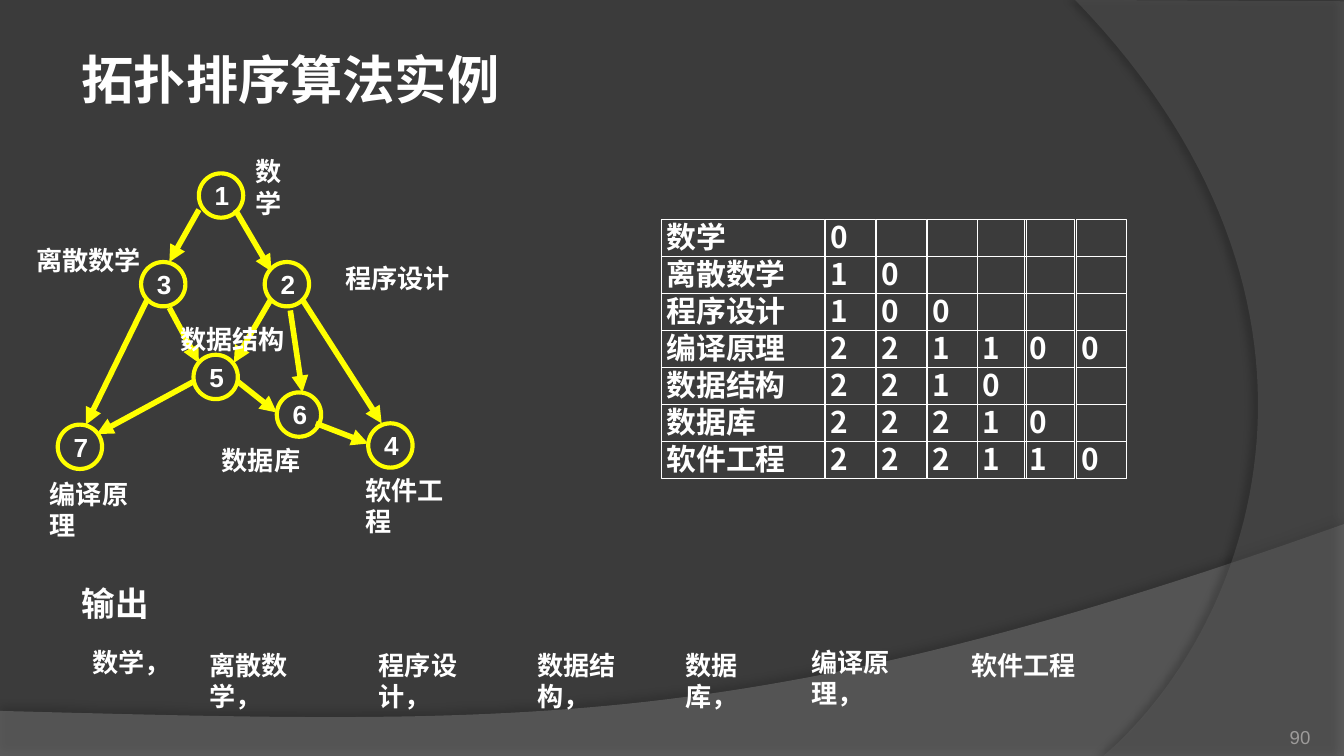
from lxml.etree import SubElement
from pptx import Presentation
from pptx.dml.color import RGBColor
from pptx.enum.shapes import MSO_CONNECTOR as CONNECTOR, MSO_SHAPE as SHAPE
from pptx.enum.text import MSO_ANCHOR as ANCHOR, PP_ALIGN as ALIGN
from pptx.oxml.ns import qn
from pptx.util import Inches, Pt

WHITE, YELLOW = "FFFFFF", "FFFF00"
LATIN, CHINESE = "Arial", "Noto Sans CJK SC"
WIDTH = 10
HEIGHT = WIDTH * 9 / 16

NODES = {"1": (1.28, 0.13), "2": (1.77, 0.79), "3": (0.85, 0.79), "4": (2.54, 1.99),
         "5": (1.24, 1.48), "6": (1.86, 1.76), "7": (0.23, 2)}
EDGES = [(1.28, 0.4, 1.06, 0.79), (0.9, 1.06, 0.44, 2), (1.55, 0.4, 1.82, 0.86),
         (1.06, 1.13, 1.28, 1.54), (1.96, 1.15, 2.05, 1.76), (1.82, 1.06, 1.54, 1.54),
         (1.24, 1.68, 0.52, 2.07), (1.57, 1.68, 1.86, 1.91), (2.15, 1.99, 2.54, 2.14),
         (2.05, 1.07, 2.64, 1.99)]
LABELS = [("数学", 1.63, 0, 0.49), ("程序设计", 2.3, 0.79, 1.08), ("离散数学", 0, 0.66, 1.14),
          ("数据结构", 1.07, 1.25, 0.97), ("数据库", 1.38, 2.15, 0.98),
          ("编译原理", 0.1, 2.4, 0.73), ("软件工程", 2.45, 2.37, 0.73)]
COURSES = ["数学", "离散数学", "程序设计", "编译原理", "数据结构", "数据库", "软件工程"]
STEPS = [(1.22, "0112222"), (1.6, " 002222"), (1.98, "  01122"),
         (2.35, "   1011"), (2.7, "   0 01"), (3.09, "   0  0")]
OUTPUT = [("数学，", 0.08, 0.47, 0.79), ("离散数学，", 0.95, 0.49, 1.04),
          ("程序设计，", 2.21, 0.49, 1.04), ("数据结构，", 3.39, 0.49, 1.04),
          ("数据库，", 4.49, 0.49, 0.87), ("编译原理，", 5.43, 0.47, 1.04),
          ("软件工程", 6.62, 0.49, 1.02)]


def color(value):
    """Turn a hex string into a colour."""
    return RGBColor.from_string(value)


def write(shape, text, size, font=CHINESE, insets=(0.1, 0.05, 0.1, 0.05),
          align=ALIGN.LEFT, anchor=ANCHOR.TOP, ink=WHITE, bold=True):
    """Put one formatted paragraph in a shape."""
    frame = shape.text_frame
    frame.text = text
    frame.word_wrap = True
    frame.vertical_anchor = anchor
    (frame.margin_left, frame.margin_top,
     frame.margin_right, frame.margin_bottom) = map(Inches, insets)
    para = frame.paragraphs[0]
    para.alignment = align
    para._p.get_or_add_pPr().set("hangingPunct", "0")
    for span in para.runs:
        span.font.name, span.font.size, span.font.bold = font, Pt(size), bold
        span.font.color.rgb = color(ink)
        SubElement(span.font._element, qn("a:ea"), typeface=CHINESE)


def add_text(page, box, text, size, **style):
    """Add a text box."""
    write(page.shapes.add_textbox(*map(Inches, box)), text, size, **style)


def add_outline(page, kind, box, ink, width):
    """Add an unfilled preset shape."""
    shape = page.shapes.add_shape(kind, *map(Inches, box))
    shape.shadow.inherit = False
    shape.fill.background()
    shape.line.color.rgb = color(ink)
    shape.line.width = Pt(width)
    return shape


def add_arrow(page, ends):
    """Add a yellow arrow that points at its second end."""
    arrow = page.shapes.add_connector(CONNECTOR.STRAIGHT, *map(Inches, ends))
    arrow.line.color.rgb = color(YELLOW)
    arrow.line.width = Pt(3)
    SubElement(arrow.line._get_or_add_ln(), qn("a:tailEnd"), type="triangle")
    SubElement(arrow._element.spPr, qn("a:effectLst"))


def bezier(start, first, second, end, count=60):
    """List the points of a cubic curve after its start."""
    points = []
    for step in range(1, count + 1):
        t = step / count
        weights = ((1 - t) ** 3, 3 * t * (1 - t) ** 2, 3 * t * t * (1 - t), t ** 3)
        points.append(tuple(sum(w * p for w, p in zip(weights, axis))
                            for axis in zip(start, first, second, end)))
    return points


def add_wave(page, box, corners, curve, fill, opacity, shadow):
    """Add a translucent curved panel with a soft shadow."""
    left, top = box
    points = [(Inches(left + x), Inches(top + y)) for x, y in corners + bezier(*curve)]
    builder = page.shapes.build_freeform(*points[0])
    builder.add_line_segments(points[1:], close=True)
    wave = builder.convert_to_shape()
    wave.line.fill.background()
    wave.fill.solid()
    wave.fill.fore_color.rgb = color(fill)
    paint = wave._element.spPr.find(qn("a:solidFill"))
    SubElement(paint[0], qn("a:alpha"), val=str(opacity * 1000))
    strength, blur, distance, angle = shadow
    effects = SubElement(wave._element.spPr, qn("a:effectLst"))
    outer = SubElement(effects, qn("a:outerShdw"), blurRad=str(Pt(blur)),
                       dist=str(Pt(distance)), dir=str(angle * 60000),
                       algn="ctr", rotWithShape="0")
    shade = SubElement(outer, qn("a:srgbClr"), val="000000")
    SubElement(shade, qn("a:alpha"), val=str(strength * 1000))


def add_backdrop(page, left, top):
    """Draw the dark background and its two curved panels."""
    page.background.fill.solid()
    page.background.fill.fore_color.rgb = color("3B3B3B")
    add_wave(page, (left, top), [(0, 5.29), (0, HEIGHT), (WIDTH, HEIGHT), (WIDTH, 3.9)],
             ((WIDTH, 3.9), (5.59, 5.47), (3.91, 5.39), (0, 5.29)),
             "7F7F7F", 45, (35, 4, 3.5, 270))
    add_wave(page, (left, top), [(WIDTH, 0.01), (WIDTH, HEIGHT), (8.21, HEIGHT)],
             ((8.21, HEIGHT), (9.35, 4.64), (10.18, 2.25), (8, 0)),
             "5E5E5E", 40, (45, 4, 4, 180))
    add_text(page, (left + 8.92, top + 5.27, 0.83, 0.3), "90", 10, font=LATIN,
             insets=(0, 0, 0, 0), align=ALIGN.RIGHT, anchor=ANCHOR.BOTTOM,
             ink="9D9B9A", bold=False)


def add_graph(page, left, top):
    """Draw the course graph."""
    for x1, y1, x2, y2 in EDGES:
        add_arrow(page, (left + x1, top + y1, left + x2, top + y2))
    for number, (x, y) in NODES.items():
        node = add_outline(page, SHAPE.OVAL, (left + x, top + y, 0.33, 0.33), YELLOW, 2.25)
        write(node, number, 14, font=LATIN, insets=(0.07, 0.03, 0.07, 0.03),
              align=ALIGN.CENTER, anchor=ANCHOR.MIDDLE)
    for name, x, y, width in LABELS:
        add_text(page, (left + x, top + y, width, 0.2), name, 14, font=LATIN,
                 insets=(0.07, 0, 0.07, 0))


def add_degrees(page, left, top, pitch=0.275):
    """Draw the in-degree columns, one for each step of the sort."""
    columns = [(0, 1.21, COURSES)] + [(x, 0.37, degrees) for x, degrees in STEPS]
    for x, width, entries in columns:
        for row, entry in enumerate(entries):
            box = (left + x, top + row * pitch, width, 0.28)
            cell = add_outline(page, SHAPE.RECTANGLE, box, WHITE, 0.25)
            if entry != " ":
                write(cell, entry, 16, insets=(0.04, 0, 0, 0))


def add_output(page, left, top):
    """Write the sorted order of the courses."""
    add_text(page, (left, top, 1.26, 0.4), "输出", 18)
    for name, x, y, width in OUTPUT:
        add_text(page, (left + x, top + y, width, 0.34), name, 14)


def main():
    """Build and save the slide."""
    deck = Presentation()
    deck.slide_width, deck.slide_height = Inches(WIDTH), Inches(HEIGHT)
    page = deck.slides.add_slide(deck.slide_layouts[6])
    add_backdrop(page, 0, 0)
    add_graph(page, 0.2, 1.16)
    add_text(page, (0.51, 0.3, 3.46, 0.57), "拓扑排序算法实例", 28)
    add_degrees(page, 4.92, 1.63)
    add_output(page, 0.51, 4.29)
    deck.save("out.pptx")


if __name__ == "__main__":
    main()
